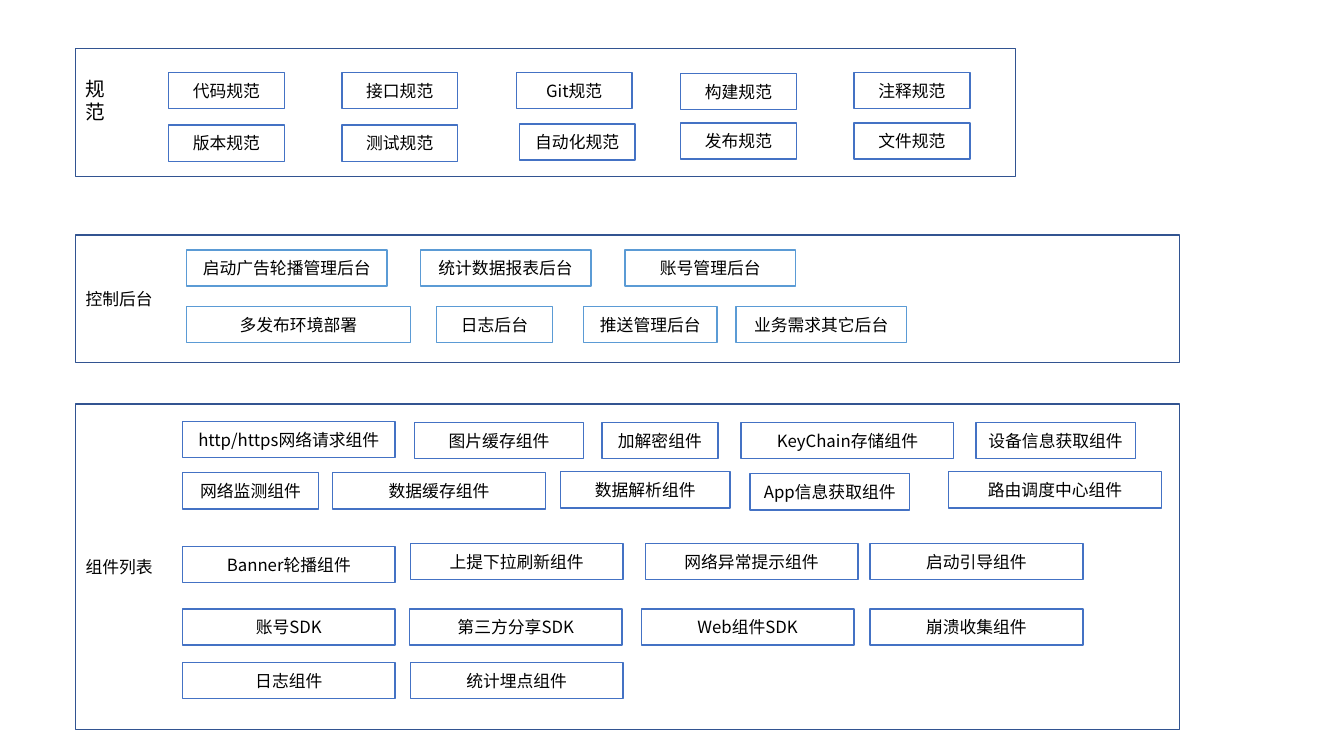
from lxml.etree import SubElement
from pptx import Presentation
from pptx.dml.color import RGBColor
from pptx.enum.lang import MSO_LANGUAGE_ID as LANG
from pptx.enum.shapes import MSO_SHAPE as SHAPE
from pptx.enum.text import MSO_ANCHOR as ANCHOR, PP_ALIGN as ALIGN
from pptx.oxml.ns import qn
from pptx.util import Inches, Pt


def rgb(hex_):
    """Turn a hex string into a colour."""
    return RGBColor.from_string(hex_)


class Board:
    """Style and current slide; lengths are grid cells of a tenth of an inch."""
    FONT = "Noto Sans CJK SC"
    CELL = 0.1
    CHIP_H = 3.6
    WHITE, BLACK = "FFFFFF", "000000"
    NAVY, BLUE, SKY = "325491", "4472C4", "5B9BD5"

    def __init__(self, prs):
        """Add a blank slide to the presentation."""
        self.s = prs.slides.add_slide(prs.slide_layouts[6])

    def box(self, text, col, row, cols, rows, line, align, size=12):
        """Draw an outlined white box with text."""
        area = [Inches(v * self.CELL) for v in (col, row, cols, rows)]
        sp = self.s.shapes.add_shape(SHAPE.RECTANGLE, *area)
        sp.shadow.inherit = False
        sp.fill.solid()
        sp.fill.fore_color.rgb = rgb(self.WHITE)
        sp.line.color.rgb = rgb(line)
        sp.line.width = Pt(1)
        tf = sp.text_frame
        tf.text = text
        tf.word_wrap = True
        tf.vertical_anchor = ANCHOR.MIDDLE
        p = tf.paragraphs[0]
        p.alignment = align
        font = p.runs[0].font
        font.size = Pt(size)
        font.name = self.FONT
        font.language_id = LANG.SIMPLIFIED_CHINESE
        font.color.rgb = rgb(self.BLACK)
        SubElement(p.runs[0].font._element, qn("a:ea"), typeface=self.FONT)
        return sp

    def panel(self, text, row, cols, rows, size=12):
        """Draw a large panel labelled at its left edge."""
        return self.box(text, 7.5, row, cols, rows, self.NAVY, ALIGN.LEFT, size)

    def upright_panel(self, text, row, cols, rows):
        """Draw a panel whose label is stacked letter by letter."""
        tf = self.panel(text, row, cols, rows, 14).text_frame
        tf.vertical_anchor = ANCHOR.TOP
        tf._txBody.bodyPr.set("vert", "wordArtVert")

    def chips(self, row, line, *items):
        """Draw a row of chips given as text, column, width and optional drop."""
        for text, col, cols, *drop in items:
            self.box(text, col, row + sum(drop), cols, self.CHIP_H, line, ALIGN.CENTER)


def rules(b):
    """Draw the standards panel."""
    w = 11.5
    b.upright_panel(" 规范", 4.8, 93.2, 12.7)
    b.chips(7.2, b.BLUE, ("代码规范", 16.7, w), ("接口规范", 33.9, w),
            ("Git规范", 51.2, w), ("构建规范", 67.5, w, 0.1), ("注释规范", 84.7, w))
    b.chips(12.2, b.BLUE, ("版本规范", 16.7, w, 0.2), ("测试规范", 33.9, w, 0.2),
            ("自动化规范", 51.5, w, 0.1), ("发布规范", 67.5, w), ("文件规范", 84.7, w))


def consoles(b):
    """Draw the control console panel."""
    b.panel("控制后台", 23.3, 109.5, 12.7)
    b.chips(24.8, b.SKY, ("启动广告轮播管理后台", 18.5, 19.9),
            ("统计数据报表后台", 41.7, 16.9), ("账号管理后台", 62, 16.9))
    b.chips(30.4, b.SKY, ("多发布环境部署", 18.5, 22.2), ("日志后台", 43.3, 11.5),
            ("推送管理后台", 57.9, 13.2), ("业务需求其它后台", 73, 16.9))


def components(b):
    """Draw the component list panel."""
    w = 21.1
    b.panel("组件列表", 40.1, 109.5, 32.3)
    b.chips(41.9, b.BLUE, ("http/https网络请求组件", 18.1, w, -0.1),
            ("图片缓存组件", 41.1, 16.8), ("加解密组件", 59.7, 11.5),
            ("KeyChain存储组件", 73.5, w), ("设备信息获取组件", 96.8, 15.8))
    b.chips(46.8, b.BLUE, ("网络监测组件", 18.1, 13.5, 0.1),
            ("数据缓存组件", 33, w, 0.1), ("数据解析组件", 55.6, 16.8),
            ("App信息获取组件", 74.4, 15.8, 0.2), ("路由调度中心组件", 94.1, w))
    b.chips(53.9, b.BLUE, ("Banner轮播组件", 18.1, w, 0.3),
            ("上提下拉刷新组件", 40.7, w), ("网络异常提示组件", 64, w),
            ("启动引导组件", 86.3, w))
    b.chips(60.4, b.BLUE, ("账号SDK", 18.1, w), ("第三方分享SDK", 40.6, w),
            ("Web组件SDK", 63.6, w), ("崩溃收集组件", 86.3, w))
    b.chips(65.7, b.BLUE, ("日志组件", 18.1, w), ("统计埋点组件", 40.7, w))


def main():
    """Build and save the slide."""
    prs = Presentation()
    prs.slide_width, prs.slide_height = Inches(13.33), Inches(7.5)
    b = Board(prs)
    rules(b)
    consoles(b)
    components(b)
    prs.save("out.pptx")


if __name__ == "__main__":
    main()
